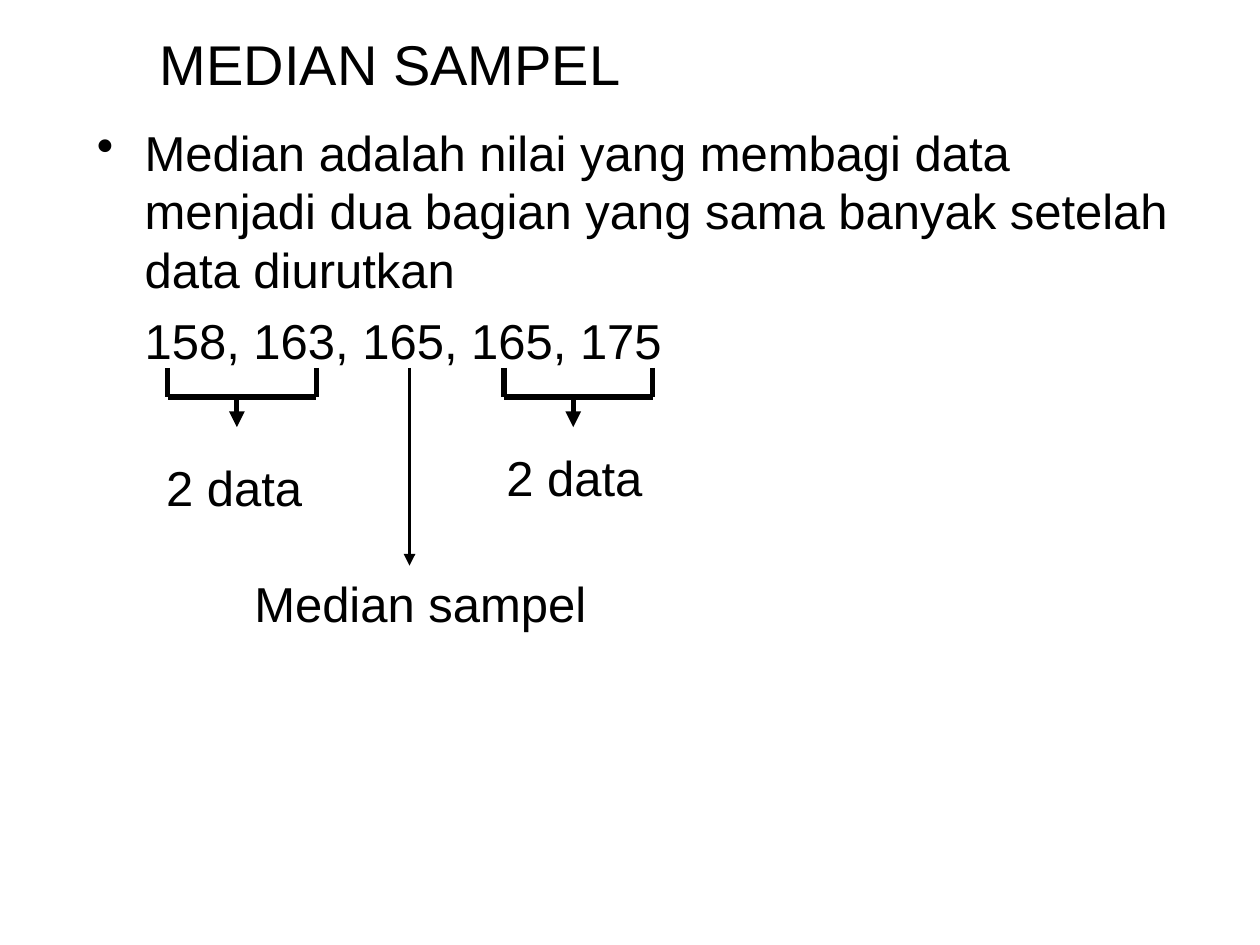
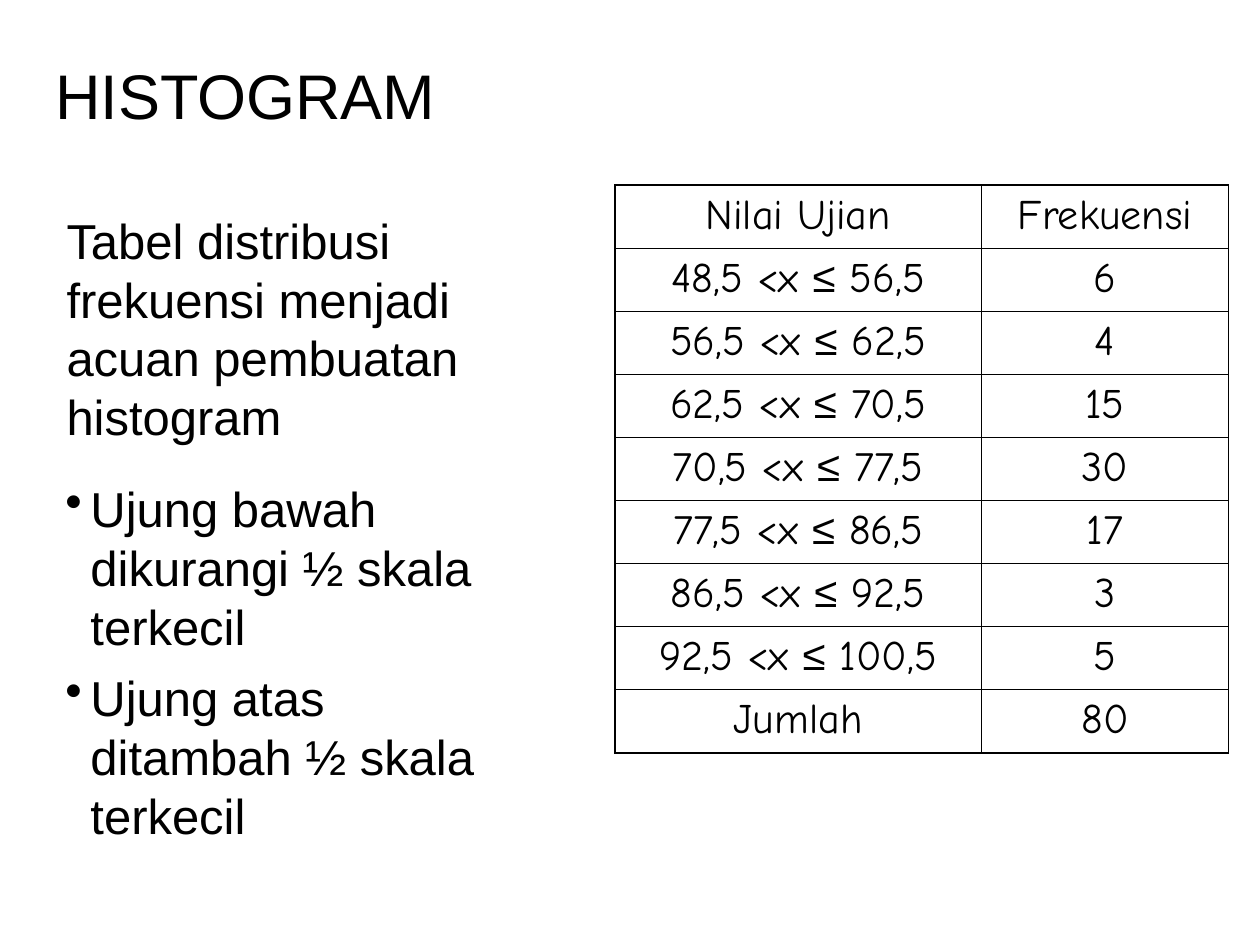
import pptx
import pptx.util
import pptx.dml.color
import pptx.enum.shapes
import pptx.enum.text
import pptx.oxml.ns
from lxml import etree

COLORS = {"ink": "000000", "paper": "FFFFFF"}
BODY_FONT, TABLE_FONT = "Arial", "Comic Neue"
BODY_SIZE, TABLE_SIZE = 28, 24
OUTER_RULE, INNER_RULE = 1.08, 0.45
ANCHOR = pptx.enum.text.MSO_ANCHOR
ALIGN = pptx.enum.text.PP_ALIGN


def px(length):
    """One hundred px to the inch."""
    return pptx.util.Emu(length * 9144)


def color(name):
    return pptx.dml.color.RGBColor.from_string(COLORS[name])


def add_xml(parent, tag, **attributes):
    return etree.SubElement(parent, pptx.oxml.ns.qn(tag), attributes)


def apply(target, values):
    for name, value in values.items():
        setattr(target, name, value)


def add_run(paragraph, text, size, font=BODY_FONT):
    run = paragraph.add_run()
    run.text = text
    apply(run.font, {"size": pptx.util.Pt(size), "name": font})
    run.font.color.rgb = color("ink")


def add_text(slide, box, paragraphs, size=BODY_SIZE, anchor=ANCHOR.TOP, indent=0):
    """Paragraphs are (text, bulleted) pairs."""
    frame = slide.shapes.add_textbox(*map(px, box)).text_frame
    apply(frame, {"word_wrap": True, "vertical_anchor": anchor})
    for index, (text, bulleted) in enumerate(paragraphs):
        paragraph = frame.paragraphs[0] if index == 0 else frame.add_paragraph()
        if index:
            paragraph.space_before = pptx.util.Pt(7)
        properties = paragraph._p.get_or_add_pPr()
        properties.set("marL", str(px(indent)))
        properties.set("indent", str(px(-indent if bulleted else 0)))
        if bulleted:
            bullet_color = add_xml(properties, "a:buClr")
            add_xml(bullet_color, "a:srgbClr", val=COLORS["ink"])
            add_xml(properties, "a:buChar", char="•")
        add_run(paragraph, text, size)


def add_title(slide, box, text, size):
    add_text(slide, box, [(text, False)], size, ANCHOR.MIDDLE)


def add_line(slide, start, end, width=3, arrow=False):
    line = slide.shapes.add_connector(
        pptx.enum.shapes.MSO_CONNECTOR.STRAIGHT, *map(px, start + end))
    line.line.width = pptx.util.Pt(width)
    line.line.color.rgb = color("ink")
    if arrow:
        add_xml(line.line._get_or_add_ln(), "a:tailEnd", type="triangle")
    add_xml(line._element.spPr, "a:effectLst")


def add_bracket(slide, box):
    """Bracket under two values, with an arrow down to their label."""
    left, top, width, height = box
    right, bar = left + width, top + height // 2
    for x in (left, right):
        add_line(slide, (x, top), (x, bar))
    add_line(slide, (left, bar), (right, bar))
    stem = left + 55
    add_line(slide, (stem, bar), (stem, top + height), arrow=True)


def set_borders(cell, widths):
    """Widths run left, right, top, bottom, in points."""
    properties = cell._tc.get_or_add_tcPr()
    for side, width in zip("LRTB", widths):
        border = add_xml(properties, f"a:ln{side}", w=str(pptx.util.Pt(width)))
        fill = add_xml(border, "a:solidFill")
        add_xml(fill, "a:srgbClr", val=COLORS["ink"])


def add_frequency_table(slide, box, rows, column_widths):
    table = slide.shapes.add_table(len(rows), len(column_widths), *map(px, box)).table
    apply(table, {"first_row": False, "horz_banding": False})
    for column, width in zip(table.columns, column_widths):
        column.width = px(width)
    last_row, last_column = len(rows) - 1, len(column_widths) - 1
    for r, row in enumerate(rows):
        for c, label in enumerate(row):
            cell = table.cell(r, c)
            edges = (c == 0, c == last_column, r == 0, r == last_row)
            set_borders(cell, [OUTER_RULE if edge else INNER_RULE for edge in edges])
            cell.fill.background()
            paragraph = cell.text_frame.paragraphs[0]
            paragraph.alignment = ALIGN.CENTER
            for part in filter(None, label.partition("≤")):
                font = BODY_FONT if part == "≤" else TABLE_FONT
                add_run(paragraph, part, TABLE_SIZE, font)


def new_slide(deck):
    slide = deck.slides.add_slide(deck.slide_layouts[6])
    slide.background.fill.solid()
    slide.background.fill.fore_color.rgb = color("paper")
    return slide


def build_median(deck):
    slide = new_slide(deck)
    add_title(slide, (117, 25, 633, 50), "MEDIAN SAMPEL", 32)
    add_text(slide, (67, 92, 883, 508), [
        ("Median adalah nilai yang membagi data menjadi dua bagian "
         "yang sama banyak setelah data diurutkan", True),
        ("158, 163, 165, 165, 175", False),
    ], indent=38)
    # Two halves of the data
    for bracket_left in (133, 400):
        add_bracket(slide, (bracket_left, 292, 118, 47))
    # Arrow to the middle value
    add_line(slide, (325, 292), (325, 449), width=2.25, arrow=True)
    # Labels
    for box, label in (
        ((122, 358, 153, 57), "2 data"),
        ((392, 350, 133, 57), "2 data"),
        ((192, 450, 317, 57), "Median sampel"),
    ):
        add_text(slide, box, [(label, False)])


def build_histogram(deck):
    slide = new_slide(deck)
    add_title(slide, (34, 25, 843, 100), "HISTOGRAM", 36)
    # Explanation
    add_text(slide, (43, 162, 370, 197), [
        ("Tabel distribusi frekuensi menjadi acuan pembuatan histogram", False)])
    add_text(slide, (42, 375, 383, 310), [
        ("Ujung bawah dikurangi ½ skala terkecil", True),
        ("Ujung atas ditambah ½ skala terkecil", True),
    ], indent=20)
    # Each class starts where the one before it ends
    limits = ["48,5", "56,5", "62,5", "70,5", "77,5", "86,5", "92,5", "100,5"]
    frequencies = [6, 4, 15, 30, 17, 3, 5]
    classes = [(f"{low} <x ≤ {high}", str(count))
               for low, high, count in zip(limits, limits[1:], frequencies)]
    rows = [("Nilai Ujian", "Frekuensi"), *classes, ("Jumlah", str(sum(frequencies)))]
    add_frequency_table(slide, (488, 147, 487, 450), rows, (291, 196))


def main():
    deck = pptx.Presentation()
    apply(deck, {"slide_width": px(1000), "slide_height": px(750)})
    build_median(deck)
    build_histogram(deck)
    deck.save("out.pptx")


if __name__ == "__main__":
    main()
